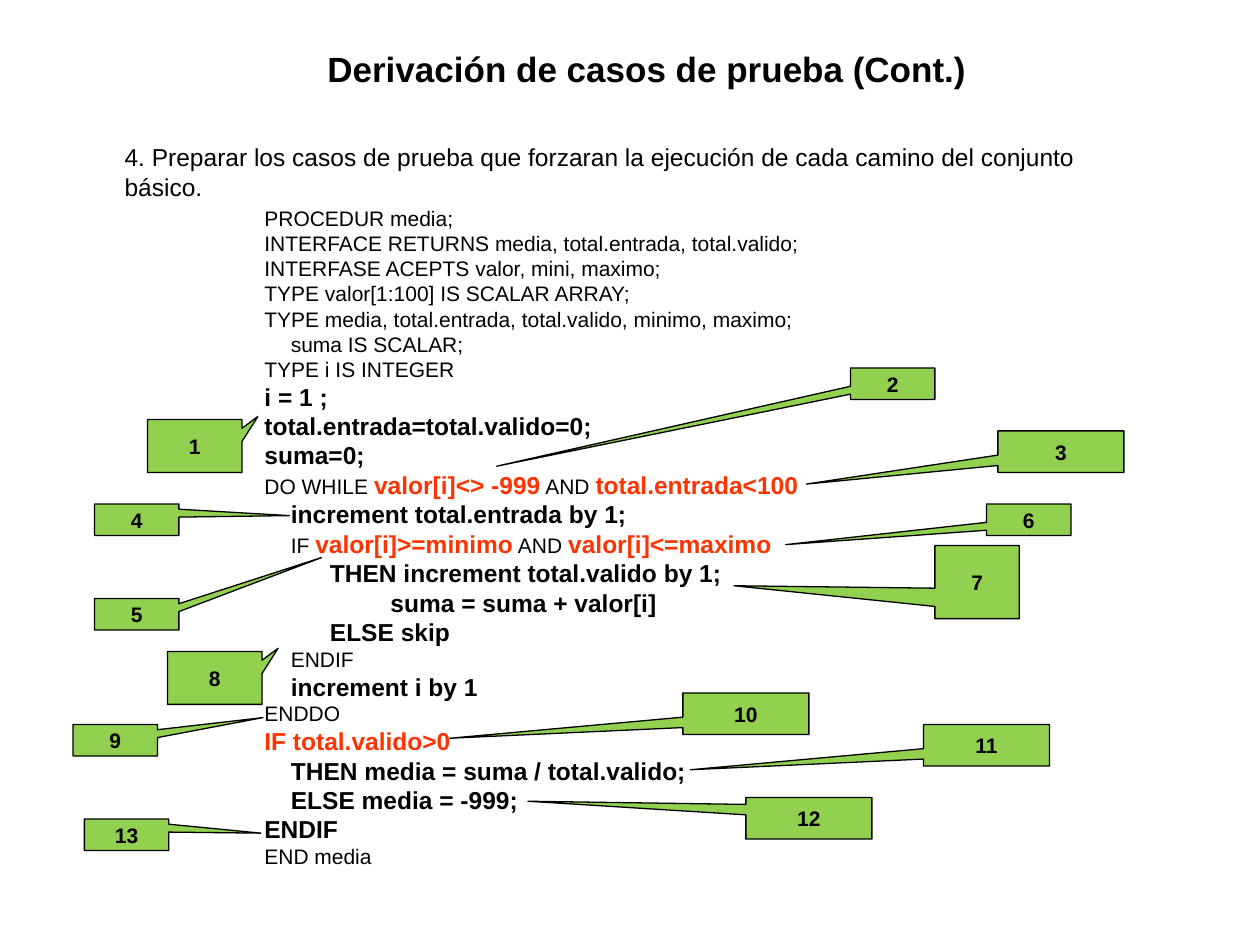
from typing import NamedTuple

import pptx
import pptx.dml.color
import pptx.enum.shapes
import pptx.enum.text
import pptx.oxml
import pptx.oxml.ns
import pptx.util

Inches = pptx.util.Inches
Pt = pptx.util.Pt
Align = pptx.enum.text.PP_ALIGN
AutoSize = pptx.enum.text.MSO_AUTO_SIZE

COLORS = {"text": "000000", "condition": "FF3300", "callout": "92D050"}
FONT = "Arial"
CODE_TABS = (0.21, 0.52, 1)


class Span(NamedTuple):
    text: str
    size: int = 12
    bold: bool = False
    color: str = "text"


class Callout(NamedTuple):
    label: str
    left: float
    top: float
    width: float
    height: float
    tip_x: float
    tip_y: float


def strong(text: str) -> Span:
    return Span(text, 14, True)


def condition(text: str) -> Span:
    return Span(text, 14, True, "condition")


CODE = [
    [Span("PROCEDUR media;")],
    [Span("INTERFACE RETURNS media, total.entrada, total.valido;")],
    [Span("INTERFASE ACEPTS valor, mini, maximo;")],
    [Span("TYPE valor[1:100] IS SCALAR ARRAY;")],
    [Span("TYPE media, total.entrada, total.valido, minimo, maximo;")],
    [Span("\tsuma IS SCALAR;")],
    [Span("TYPE i IS INTEGER")],
    [strong("i = 1 ;")],
    [strong("total.entrada=total.valido=0;")],
    [strong("suma=0;")],
    [Span("DO WHILE "), condition("valor[i]<> -999"), Span(" AND "), condition("total.entrada<100")],
    [strong("\tincrement total.entrada by 1;")],
    [Span("\tIF "), condition("valor[i]>=minimo"), Span(" AND "), condition("valor[i]<=maximo")],
    [strong("\t\tTHEN increment total.valido by 1;")],
    [strong("\t\t\tsuma = suma + valor[i]")],
    [strong("\t\tELSE skip")],
    [Span("\tENDIF")],
    [strong("\tincrement i by 1")],
    [Span("ENDDO")],
    [condition("IF total.valido>0")],
    [strong("\tTHEN media = suma / total.valido;")],
    [strong("\tELSE media = -999;")],
    [strong("ENDIF")],
    [Span("END media")],
]

CALLOUTS = [
    Callout("1", 1.17, 3.33, 0.75, 0.42, 0.67, -0.56),
    Callout("2", 6.75, 2.92, 0.67, 0.25, -4.69, 2.62),
    Callout("3", 7.92, 3.42, 1, 0.33, -2.02, 0.78),
    Callout("4", 0.75, 4, 0.67, 0.25, 1.81, -0.13),
    Callout("5", 0.75, 4.75, 0.67, 0.25, 2.19, -1.8),
    Callout("6", 7.83, 4, 0.67, 0.25, -2.88, 0.79),
    Callout("7", 7.42, 4.33, 0.67, 0.58, -2.88, 0.05),
    Callout("8", 1.33, 5.17, 0.75, 0.42, 0.67, -0.56),
    Callout("9", 0.58, 5.75, 0.67, 0.25, 1.75, -0.72),
    Callout("10", 5.42, 5.5, 1, 0.33, -2.35, 0.59),
    Callout("11", 7.33, 5.75, 1, 0.33, -2.35, 0.59),
    Callout("12", 5.92, 6.33, 1, 0.33, -2.23, -0.41),
    Callout("13", 0.67, 6.5, 0.67, 0.25, 1.59, -0.05),
]


def rgb(name: str) -> pptx.dml.color.RGBColor:
    return pptx.dml.color.RGBColor.from_string(COLORS[name])


def add_tabs(paragraph, positions: tuple) -> None:
    tab_list = pptx.oxml.parse_xml(f"<a:tabLst {pptx.oxml.ns.nsdecls('a')}/>")
    for position in positions:
        tab = tab_list.makeelement(pptx.oxml.ns.qn("a:tab"), {"pos": str(Inches(position)), "algn": "l"})
        tab_list.append(tab)
    paragraph._p.get_or_add_pPr().append(tab_list)


def write_text(shape, lines: list, *, align=Align.LEFT, anchor=pptx.enum.text.MSO_ANCHOR.TOP,
               auto_size=AutoSize.SHAPE_TO_FIT_TEXT, tabs: tuple = ()) -> None:
    frame = shape.text_frame
    frame.word_wrap = False
    frame.auto_size = auto_size
    frame.vertical_anchor = anchor
    for index, spans in enumerate(lines):
        paragraph = frame.add_paragraph() if index else frame.paragraphs[0]
        paragraph.alignment = align
        if tabs:
            add_tabs(paragraph, tabs)
        for span in spans:
            run = paragraph.add_run()
            run.text = span.text
            run.font.name = FONT
            run.font.size = Pt(span.size)
            run.font.bold = span.bold
            run.font.color.rgb = rgb(span.color)


def add_text_box(slide, left: float, top: float, width: float, height: float, lines: list, **text_format) -> None:
    shape = slide.shapes.add_textbox(Inches(left), Inches(top), Inches(width), Inches(height))
    write_text(shape, lines, **text_format)


def add_callout(slide, callout: Callout) -> None:
    shape = slide.shapes.add_shape(
        pptx.enum.shapes.MSO_SHAPE.RECTANGULAR_CALLOUT,
        Inches(callout.left), Inches(callout.top), Inches(callout.width), Inches(callout.height),
    )
    shape.adjustments[0] = callout.tip_x
    shape.adjustments[1] = callout.tip_y
    shape.shadow.inherit = False
    shape.fill.solid()
    shape.fill.fore_color.rgb = rgb("callout")
    shape.line.color.rgb = rgb("text")
    shape.line.width = Pt(0.75)
    write_text(shape, [[Span(callout.label, 12, True)]], align=Align.CENTER,
               anchor=pptx.enum.text.MSO_ANCHOR.MIDDLE, auto_size=AutoSize.NONE)


def main() -> None:
    presentation = pptx.Presentation()
    presentation.slide_width = Inches(10)
    presentation.slide_height = Inches(7.5)
    slide = presentation.slides.add_slide(presentation.slide_layouts[6])

    add_text_box(slide, 2, 1.58, 4.45, 5.37, CODE, tabs=CODE_TABS)
    add_text_box(slide, 2.5, 0.33, 5.27, 0.44,
                 [[Span("Derivación de casos de prueba (Cont.)", 20, True)]], align=Align.CENTER)
    add_text_box(slide, 0.89, 1.08, 8.41, 0.57, [[Span(
        "4. Preparar los casos de prueba que forzaran la ejecución de cada camino del conjunto básico.", 14)]])
    for callout in CALLOUTS:
        add_callout(slide, callout)

    presentation.save("out.pptx")


if __name__ == "__main__":
    main()
